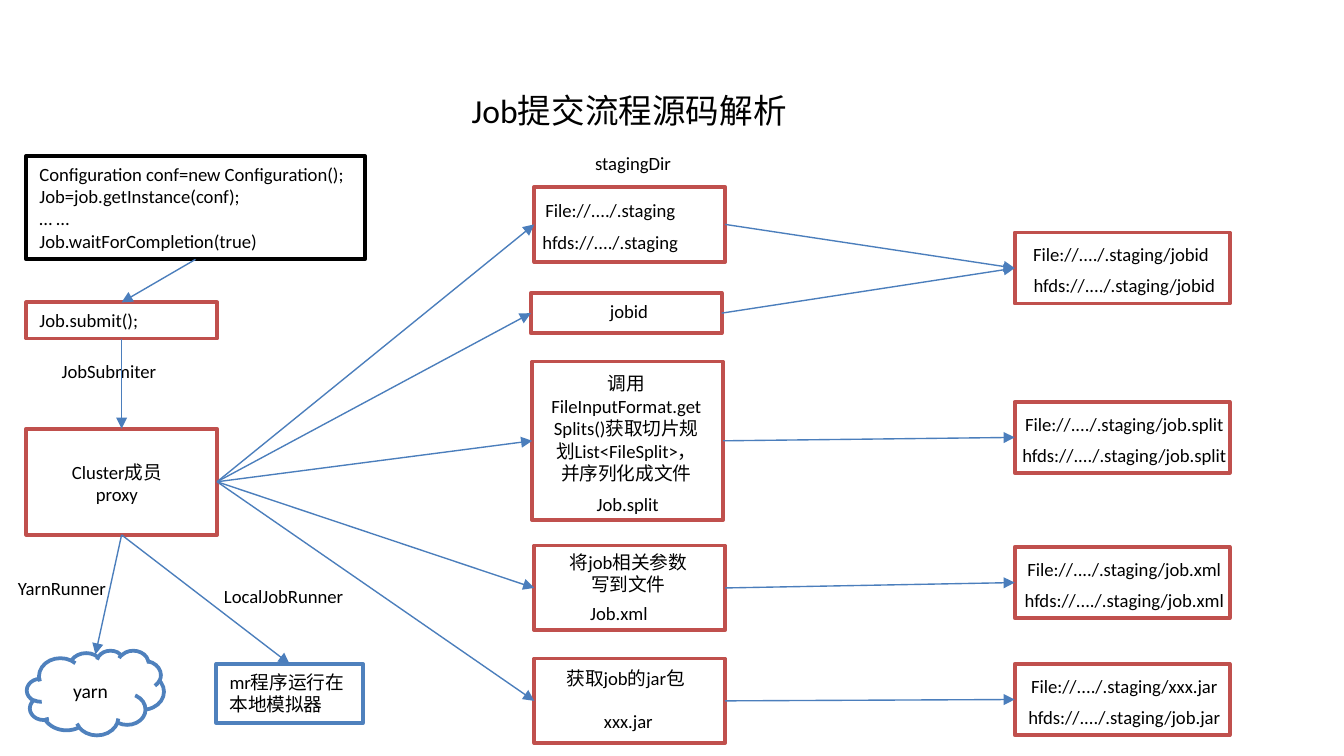
from dataclasses import dataclass

from lxml import etree
from pptx import Presentation
from pptx.dml.color import RGBColor
from pptx.enum.shapes import MSO_CONNECTOR, MSO_SHAPE
from pptx.enum.text import MSO_ANCHOR, MSO_AUTO_SIZE, PP_ALIGN
from pptx.oxml.ns import qn
from pptx.util import Inches, Pt

BLACK = RGBColor(0x00, 0x00, 0x00)
WHITE = RGBColor(0xFF, 0xFF, 0xFF)
RED = RGBColor(0xC0, 0x50, 0x4D)
BLUE = RGBColor(0x4F, 0x81, 0xBD)
ARROW_BLUE = RGBColor(0x4B, 0x7E, 0xBC)

RECT, CLOUD = MSO_SHAPE.RECTANGLE, MSO_SHAPE.CLOUD
STRAIGHT = MSO_CONNECTOR.STRAIGHT
LEFT, CENTER = PP_ALIGN.LEFT, PP_ALIGN.CENTER
ANCHOR_TOP, ANCHOR_MIDDLE = MSO_ANCHOR.TOP, MSO_ANCHOR.MIDDLE
NO_FIT = MSO_AUTO_SIZE.NONE
TOP_SIDE, LEFT_SIDE, BOTTOM_SIDE, RIGHT_SIDE = range(4)

WIDTH = Inches(10)
HEIGHT = WIDTH * 9 // 16
CELL = WIDTH / 100
LABEL_H = 2.7
STEP_W = 14.2
OUT_X, OUT_W, OUT_H = 75.5, 16, 5.3


@dataclass(frozen=True)
class Box:
    name: str
    col: float
    row: float
    cols: float
    rows: float
    text: str = ""
    line: RGBColor = RED
    geometry: int = RECT
    size: float = 10
    align: int = LEFT
    anchor: int = ANCHOR_TOP


@dataclass(frozen=True)
class Label:
    center: float
    row: float
    text: str
    cols: float = 17
    rows: float = LABEL_H
    wrap: bool = False


@dataclass(frozen=True)
class Arrow:
    start: str
    side: int
    end: str
    end_side: int


@dataclass(frozen=True)
class Output:
    name: str
    row: float
    file: str
    hdfs: str
    file_center: float = 83.65


CODE = """Configuration conf=new Configuration();
Job=job.getInstance(conf);
… …
Job.waitForCompletion(true)"""

OUTPUTS = [
    Output("out_jobid", 17.3, "jobid", "jobid", 83.4),
    Output("out_split", 29.9, "job.split", "job.split"),
    Output("out_xml", 40.7, "job.xml", "job.xml"),
    Output("out_jar", 49.4, "xxx.jar", "job.jar"),
]

BOXES = [
    Box("code", 1.95, 11.6, 25.2, 7.7, CODE, BLACK),
    Box("submit", 1.95, 22.5, STEP_W, 2.7, "Job.submit();"),
    Box("local", 16.1, 49.4, 10.9, 4.4, "mr程序运行在本地模拟器", BLUE),
    Box("yarn", 2, 48.4, 10.2, 6.3, "yarn", BLUE, CLOUD, 10.5, CENTER, ANCHOR_MIDDLE),
    Box("cluster", 1.95, 31.9, STEP_W, 7.9),
    Box("staging", 39.75, 13.9, STEP_W, 5.6),
    Box("jobid", 39.5, 21.8, STEP_W, 3),
    Box("split", 39.6, 26.9, STEP_W, 11.8),
    Box("xml", 39.75, 40.6, STEP_W, 6.3),
    Box("jar", 39.75, 49, STEP_W, 6.3),
] + [Box(o.name, OUT_X, o.row, OUT_W, OUT_H) for o in OUTPUTS]

LABELS = [
    Label(8.1, 26.3, "JobSubmiter", 9.2),
    Label(8.7, 33.8, "Cluster成员\nproxy", 8.8, 4.4, True),
    Label(4.6, 42.4, "YarnRunner", 8.8),
    Label(21.1, 43, "LocalJobRunner", 11),
    Label(47.1, 10.8, "stagingDir", 7.8),
    Label(45.4, 14.3, "File://..../.staging", 11.8),
    Label(45.4, 16.7, "hfds://..../.staging", 12.3),
    Label(46.8, 21.8, "jobid", 4.9),
    Label(46.6, 27.2, "调用FileInputFormat.getSplits()获取切片规划List<FileSplit>，并序列化成文件",
          13.6, 9.4, True),
    Label(46.7, 36.2, "Job.split", 6.7),
    Label(46.75, 40.5, "将job相关参数写到文件", 11.7, 4.4, True),
    Label(46.05, 44.3, "Job.xml", 6.3),
    Label(46.55, 49.1, "获取job的jar包", 11.7, LABEL_H, True),
    Label(46.75, 52.3, "xxx.jar", 5.7),
]
for o in OUTPUTS:
    LABELS += [
        Label(o.file_center, o.row + 0.3, f"File://..../.staging/{o.file}"),
        Label(83.65, o.row + 2.6, f"hfds://..../.staging/{o.hdfs}"),
    ]

STEPS = ["staging", "jobid", "split", "xml", "jar"]
STEP_OUTPUTS = ["out_jobid", "out_jobid", "out_split", "out_xml", "out_jar"]
ARROWS = [
    Arrow("code", BOTTOM_SIDE, "submit", TOP_SIDE),
    Arrow("submit", BOTTOM_SIDE, "cluster", TOP_SIDE),
    Arrow("cluster", BOTTOM_SIDE, "local", TOP_SIDE),
]
ARROWS += [Arrow("cluster", RIGHT_SIDE, step, LEFT_SIDE) for step in STEPS]
ARROWS += [Arrow(step, RIGHT_SIDE, out, LEFT_SIDE)
           for step, out in zip(STEPS, STEP_OUTPUTS)]


def grid(*cells: float) -> list[int]:
    return [round(c * CELL) for c in cells]


def set_all(target, values: dict) -> None:
    for key, value in values.items():
        setattr(target, key, value)


def write(s, text: str, size: float, align: int, wrap: bool = True,
          anchor: int = ANCHOR_TOP) -> None:
    tf = s.text_frame
    tf.text = text
    set_all(tf, {"auto_size": NO_FIT, "word_wrap": wrap, "vertical_anchor": anchor})
    for p in tf.paragraphs:
        p.alignment = align
        for r in p.runs:
            set_all(r.font, {"name": "Calibri", "size": Pt(size)})
            r.font.color.rgb = BLACK


def draw_box(slide, box: Box):
    s = slide.shapes.add_shape(box.geometry, *grid(box.col, box.row, box.cols, box.rows))
    s.shadow.inherit = False
    s.fill.solid()
    s.fill.fore_color.rgb = WHITE
    s.line.color.rgb = box.line
    s.line.width = Pt(2)
    if box.text:
        write(s, box.text, box.size, box.align, anchor=box.anchor)
    return s


def draw_label(slide, label: Label) -> None:
    left = label.center - label.cols / 2
    s = slide.shapes.add_textbox(*grid(left, label.row, label.cols, label.rows))
    write(s, label.text, 10, CENTER, label.wrap)


def draw_arrow(slide, start, side: int, end=None, end_side: int = TOP_SIDE,
               point: tuple[float, float] = (0, 0)) -> None:
    s = slide.shapes.add_connector(STRAIGHT, 0, 0, *grid(*point))
    s.begin_connect(start, side)
    if end is not None:
        s.end_connect(end, end_side)
    s.line.color.rgb = ARROW_BLUE
    s.line.width = Pt(0.75)
    etree.SubElement(s.line._get_or_add_ln(), qn("a:tailEnd"), type="triangle")
    etree.SubElement(s._element.spPr, qn("a:effectLst"))


def main() -> None:
    prs = Presentation()
    prs.slide_width = WIDTH
    prs.slide_height = HEIGHT
    slide = prs.slides.add_slide(prs.slide_layouts[5])
    title = slide.shapes.title
    set_all(title, dict(zip(("left", "top", "width", "height"),
                            grid(34.1, 6.2, 25.7, 4))))
    write(title, "Job提交流程源码解析", 18, LEFT)
    shapes = {box.name: draw_box(slide, box) for box in BOXES}
    for label in LABELS:
        draw_label(slide, label)
    for a in ARROWS:
        draw_arrow(slide, shapes[a.start], a.side, shapes[a.end], a.end_side)
    draw_arrow(slide, shapes["cluster"], BOTTOM_SIDE, point=(7.1, 48.7))
    prs.save("out.pptx")


if __name__ == "__main__":
    main()
